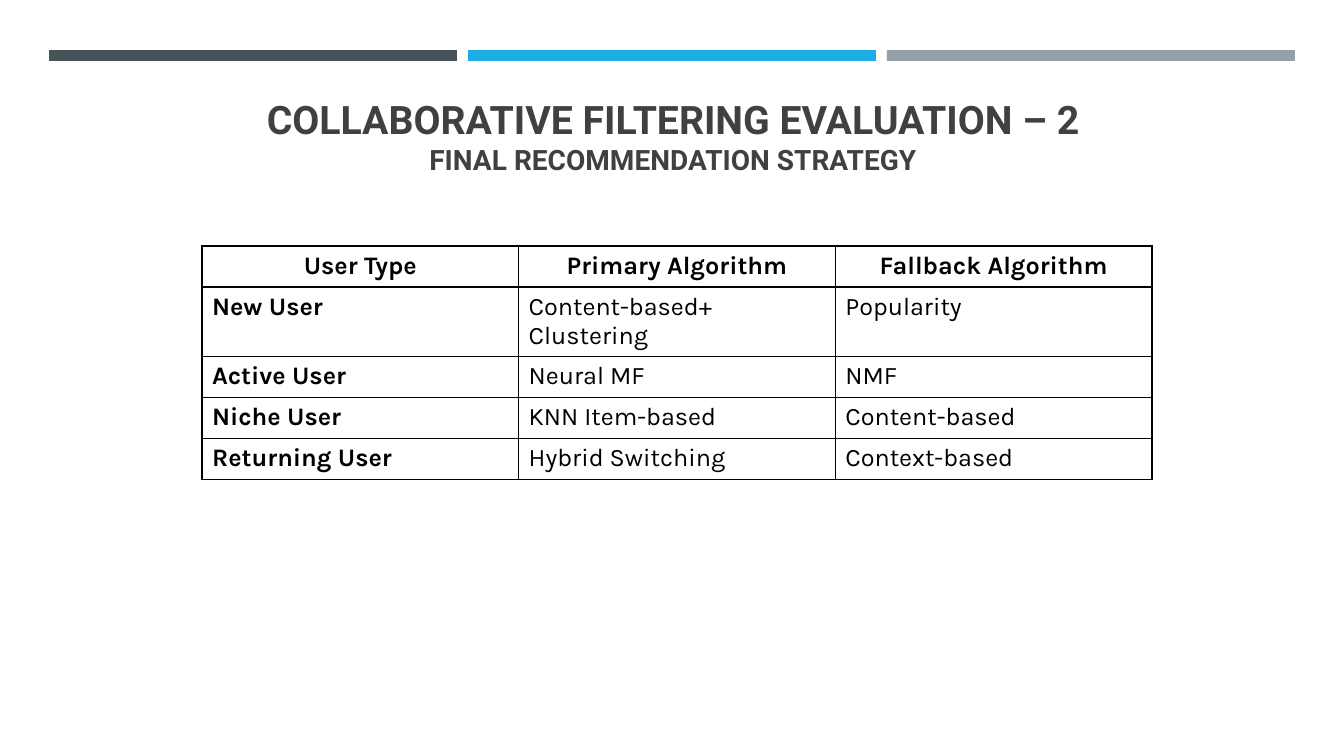
from lxml import etree
from pptx import Presentation
from pptx.dml.color import RGBColor
from pptx.enum.shapes import MSO_SHAPE
from pptx.enum.text import MSO_ANCHOR, MSO_AUTO_SIZE, PP_ALIGN
from pptx.oxml.ns import qn
from pptx.util import Pt

RECT = MSO_SHAPE.RECTANGLE
MID, TOP = MSO_ANCHOR.MIDDLE, MSO_ANCHOR.TOP
LEFT, CENTER = PP_ALIGN.LEFT, PP_ALIGN.CENTER
SLATE = RGBColor(0x46, 0x53, 0x59)
BLUE = RGBColor(0x1C, 0xAD, 0xE4)
GRAY = RGBColor(0x96, 0x9F, 0xA7)
DARK = RGBColor(0x40, 0x40, 0x40)
BLACK = RGBColor(0, 0, 0)

# Content
TITLE = [("COLLABORATIVE FILTERING EVALUATION – 2", 28),
         ("FINAL RECOMMENDATION STRATEGY", 20)]
ROWS = [
    ("User Type", "Primary Algorithm", "Fallback Algorithm"),
    ("New User", "Content-based+ Clustering", "Popularity"),
    ("Active User", "Neural MF", "NMF"),
    ("Niche User", "KNN Item-based", "Content-based"),
    ("Returning User", "Hybrid Switching", "Context-based"),
]
BARS = [SLATE, BLUE, GRAY]

# Layout in px
WIDE, HIGH = 1344, 756
BAR_X, BAR_Y, BAR_W, BAR_H, BAR_STEP = 49, 50, 408, 11, 419
TITLE_BOX = (65, 81, 1216, 109)
GRID_X, GRID_Y, GRID_W, ROW_H, TALL_H = 202, 246, 950, 41, 69


def px(n):
    return round(n * 914400 / 100.8)


def write(para, text, size=18, font="Karla", color=BLACK, bold=False,
          align=LEFT):
    para.alignment = align
    run = para.add_run()
    run.text = text
    run.font.size = Pt(size)
    run.font.name = font
    run.font.bold = bold
    run.font.color.rgb = color


def border(cell):
    props = cell._tc.get_or_add_tcPr()
    for i, side in enumerate(("lnL", "lnR", "lnT", "lnB")):
        line = etree.Element(qn("a:" + side), w=str(Pt(1)))
        fill = etree.SubElement(line, qn("a:solidFill"))
        etree.SubElement(fill, qn("a:srgbClr"), val=str(BLACK))
        props.insert(i, line)


def main():
    prs = Presentation()
    prs.slide_width, prs.slide_height = px(WIDE), px(HIGH)
    slide = prs.slides.add_slide(prs.slide_layouts[5])

    # Top bars
    for i, color in enumerate(BARS):
        bar = slide.shapes.add_shape(RECT, px(BAR_X + i * BAR_STEP), px(BAR_Y),
                                     px(BAR_W), px(BAR_H))
        bar.shadow.inherit = False
        bar.fill.solid()
        bar.fill.fore_color.rgb = color
        bar.line.fill.background()

    # Title
    title = slide.shapes.title
    title.left, title.top, title.width, title.height = map(px, TITLE_BOX)
    frame = title.text_frame
    frame.word_wrap = True
    frame.auto_size = MSO_AUTO_SIZE.NONE
    frame.vertical_anchor = MID
    para = frame.paragraphs[0]
    for i, (text, size) in enumerate(TITLE):
        if i:
            para.add_line_break()
        write(para, text, size=size, font="Roboto", color=DARK, bold=True,
              align=CENTER)

    # Strategy table
    cols = len(ROWS[0])
    tall = TALL_H + ROW_H * (len(ROWS) - 1)
    grid = slide.shapes.add_table(len(ROWS), cols, px(GRID_X), px(GRID_Y),
                                  px(GRID_W), px(tall)).table
    grid.horz_banding = False
    for col in grid.columns:
        col.width = px(GRID_W / cols)
    for r, row in enumerate(ROWS):
        grid.rows[r].height = px(TALL_H if r == 1 else ROW_H)
        for c, text in enumerate(row):
            cell = grid.cell(r, c)
            cell.fill.background()
            cell.vertical_anchor = TOP
            border(cell)
            write(cell.text_frame.paragraphs[0], text,
                  bold=r == 0 or c == 0, align=LEFT if r else CENTER)

    prs.save("out.pptx")


if __name__ == "__main__":
    main()
